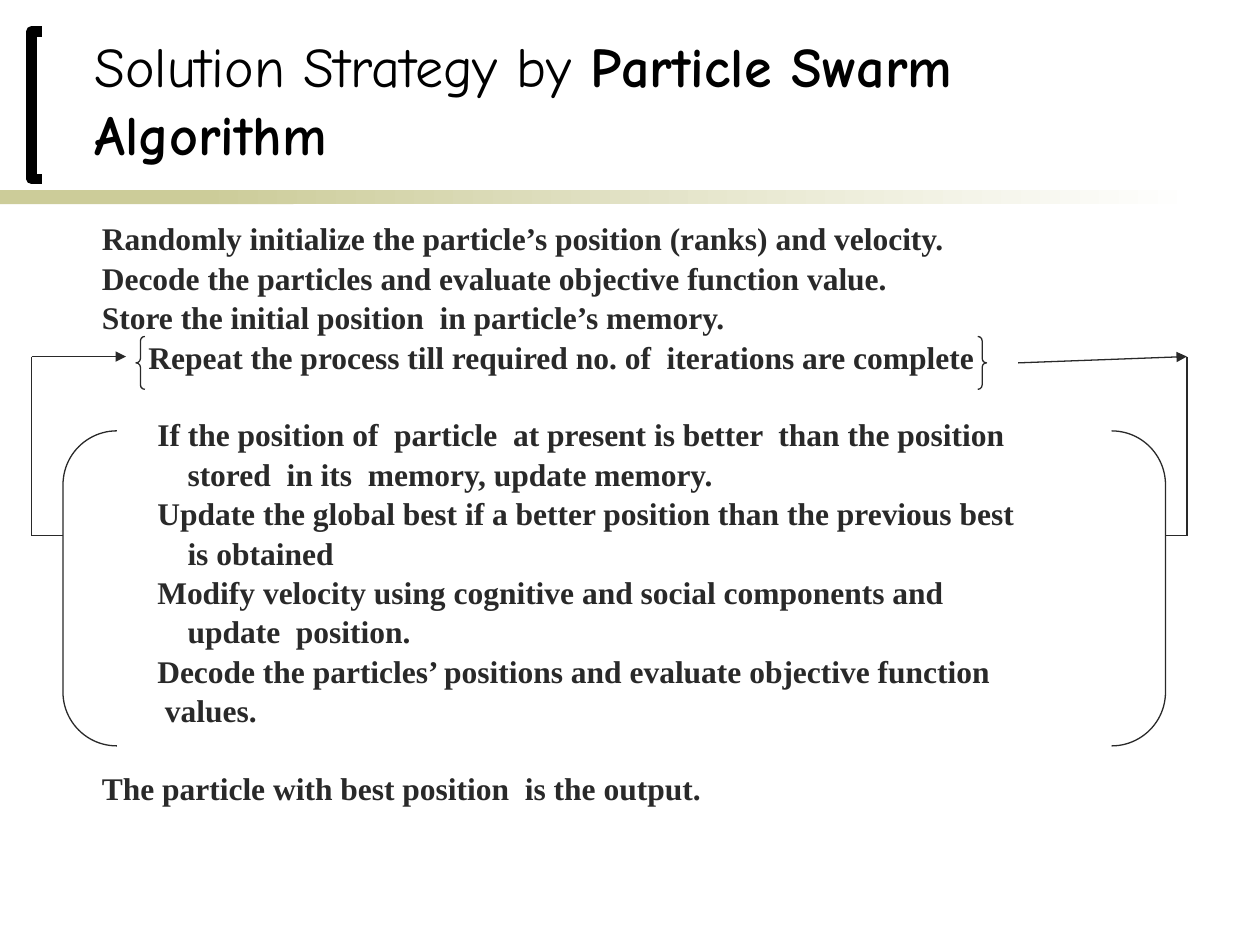
from lxml import etree
from pptx import Presentation
from pptx import util as u
from pptx.dml.color import RGBColor
from pptx.enum import shapes, text
from pptx.oxml.ns import qn

BLACK = RGBColor(0, 0, 0)
INK = RGBColor(0x29, 0x29, 0x29)
KHAKI = RGBColor(0xCC, 0xCC, 0x99)
WHITE = RGBColor(0xFF, 0xFF, 0xFF)

TITLE = [("Solution Strategy by ", False), ("Particle Swarm Algorithm", True)]
# Left indents in inches
STEP, REPEAT, LOOP, LAST, WRAP = 0.38, 0.75, 0.82, 0.88, 1.06
# (indent, blank line above, wording)
STEPS = [
    (STEP, False, "Randomly initialize the particle’s position (ranks) and velocity."),
    (STEP, False, "Decode the particles and evaluate objective function value."),
    (STEP, False, "Store the initial position  in particle’s memory."),
    (REPEAT, False, "Repeat the process till required no. of  iterations are complete"),
    (LOOP, True, "If the position of  particle  at present is better  than the position"),
    (WRAP, False, "stored  in its  memory, update memory."),
    (LOOP, False, "Update the global best if a better position than the previous best"),
    (WRAP, False, "is obtained"),
    (LOOP, False, "Modify velocity using cognitive and social components and"),
    (WRAP, False, "update  position."),
    (LOOP, False, "Decode the particles’ positions and evaluate objective function"),
    (LAST, False, "values."),
    (STEP, True, "The particle with best position  is the output."),
]
GAP, LINE_PITCH = 5.25, 21.8

LOOP_LEFT, LOOP_RIGHT = 0.5, 9.25
OUT_LEFT, OUT_RIGHT = 0.25, 9.42
TOP, JOIN = 2.83, 4.25
# (start, end, arrowhead at the end)
LINES = [
    ((OUT_LEFT, TOP), (1, TOP), True),
    ((OUT_LEFT, TOP), (OUT_LEFT, JOIN), False),
    ((OUT_LEFT, JOIN), (LOOP_LEFT, JOIN), False),
    ((OUT_RIGHT, TOP), (OUT_RIGHT, JOIN), False),
    ((LOOP_RIGHT, JOIN), (OUT_RIGHT, JOIN), False),
    ((8.08, 2.88), (OUT_RIGHT, TOP), True),
]
PAIRS = [
    (shapes.MSO_SHAPE.DOUBLE_BRACKET, (LOOP_LEFT, 3.42, LOOP_RIGHT - LOOP_LEFT, 2.5), 0.171),
    (shapes.MSO_SHAPE.DOUBLE_BRACE, (1.08, 2.67, 6.75, 0.42), 0.083),
]

prs = Presentation()
prs.slide_width, prs.slide_height = u.Inches(10), u.Inches(7.5)
s = prs.slides.add_slide(prs.slide_layouts[6])


def inches(values):
    return [u.Inches(v) for v in values]


def add_band(box):
    sp = s.shapes.add_shape(shapes.MSO_SHAPE.RECTANGLE, *inches(box))
    sp.shadow.inherit = False
    sp.line.fill.background()
    return sp.fill


def outline(sp, color, width):
    sp.line.color.rgb = color
    sp.line.width = u.Pt(width)


def add_text_frame(box, anchor):
    tf = s.shapes.add_textbox(*inches(box)).text_frame
    tf.word_wrap = True
    tf.vertical_anchor = anchor
    return tf


def add_run(p, wording, **font):
    r = p.add_run()
    r.text = wording
    r.font.color.rgb = font.pop("color")
    for key, value in font.items():
        setattr(r.font, key, value)


def add_line(start, end, arrow):
    c = s.shapes.add_connector(shapes.MSO_CONNECTOR.STRAIGHT, *inches(start + end))
    outline(c, INK, 0.75)
    if arrow:
        etree.SubElement(c.line._get_or_add_ln(), qn("a:tailEnd"), type="triangle")
    etree.SubElement(c._element.spPr, qn("a:effectLst"))


# Header band and bracket
fill = add_band((0, 1.51, 2.33, 0.11))
fill.solid()
fill.fore_color.rgb = KHAKI
fill = add_band((1.58, 1.51, 7.92, 0.11))
fill.gradient()
fill.gradient_angle = 0
for stop, color in zip(fill.gradient_stops, (KHAKI, WHITE)):
    stop.color.rgb = color

fb = s.shapes.build_freeform(*inches((0.33, 1.42)))
fb.add_line_segments([inches(pt) for pt in ((0.25, 1.42), (0.25, 0.25), (0.33, 0.25))], close=False)
bracket = fb.convert_to_shape()
bracket.shadow.inherit = False
bracket.fill.background()
outline(bracket, BLACK, 6)

# Wording
title = add_text_frame((0.65, 0.64, 9, 0.73), text.MSO_ANCHOR.BOTTOM)
for wording, bold in TITLE:
    add_run(title.paragraphs[0], wording, color=BLACK, name="Comic Neue", size=u.Pt(32), bold=bold)

body = add_text_frame((0.33, 1.75, 9.42, 5), text.MSO_ANCHOR.TOP)
for i, (indent, blank_above, wording) in enumerate(STEPS):
    p = body.add_paragraph() if i else body.paragraphs[0]
    p._p.get_or_add_pPr().set("marL", str(u.Inches(indent)))
    p.line_spacing = 0.8
    p.space_before = u.Pt((GAP if i else 0) + (LINE_PITCH if blank_above else 0))
    add_run(p, wording, color=INK, name="Times New Roman", size=u.Pt(18), bold=True)

# Loop
for kind, box, adjustment in PAIRS:
    sp = s.shapes.add_shape(kind, *inches(box))
    sp.shadow.inherit = False
    sp.adjustments[0] = adjustment
    sp.fill.background()
    outline(sp, INK, 0.75)
for line in LINES:
    add_line(*line)

prs.save("out.pptx")
